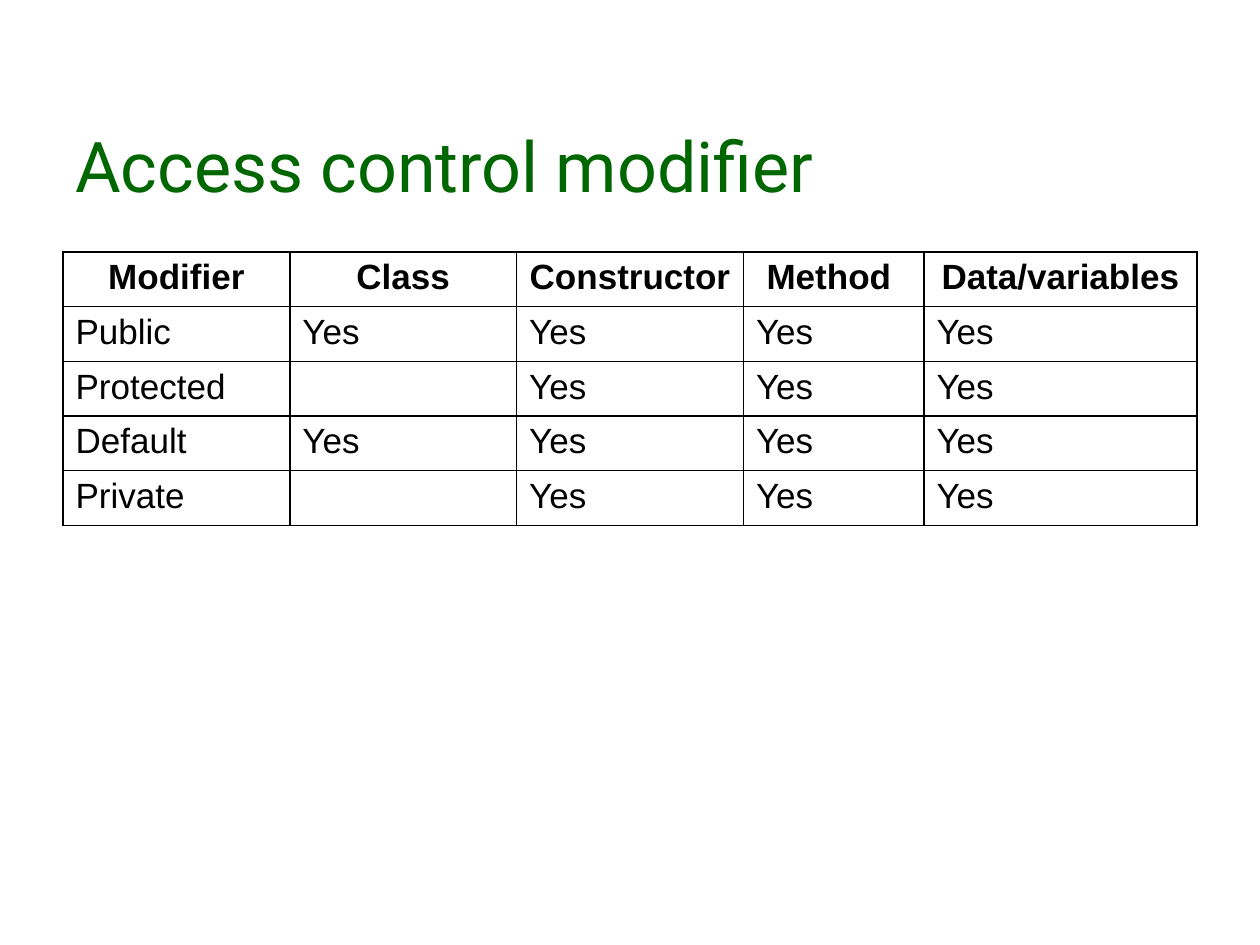
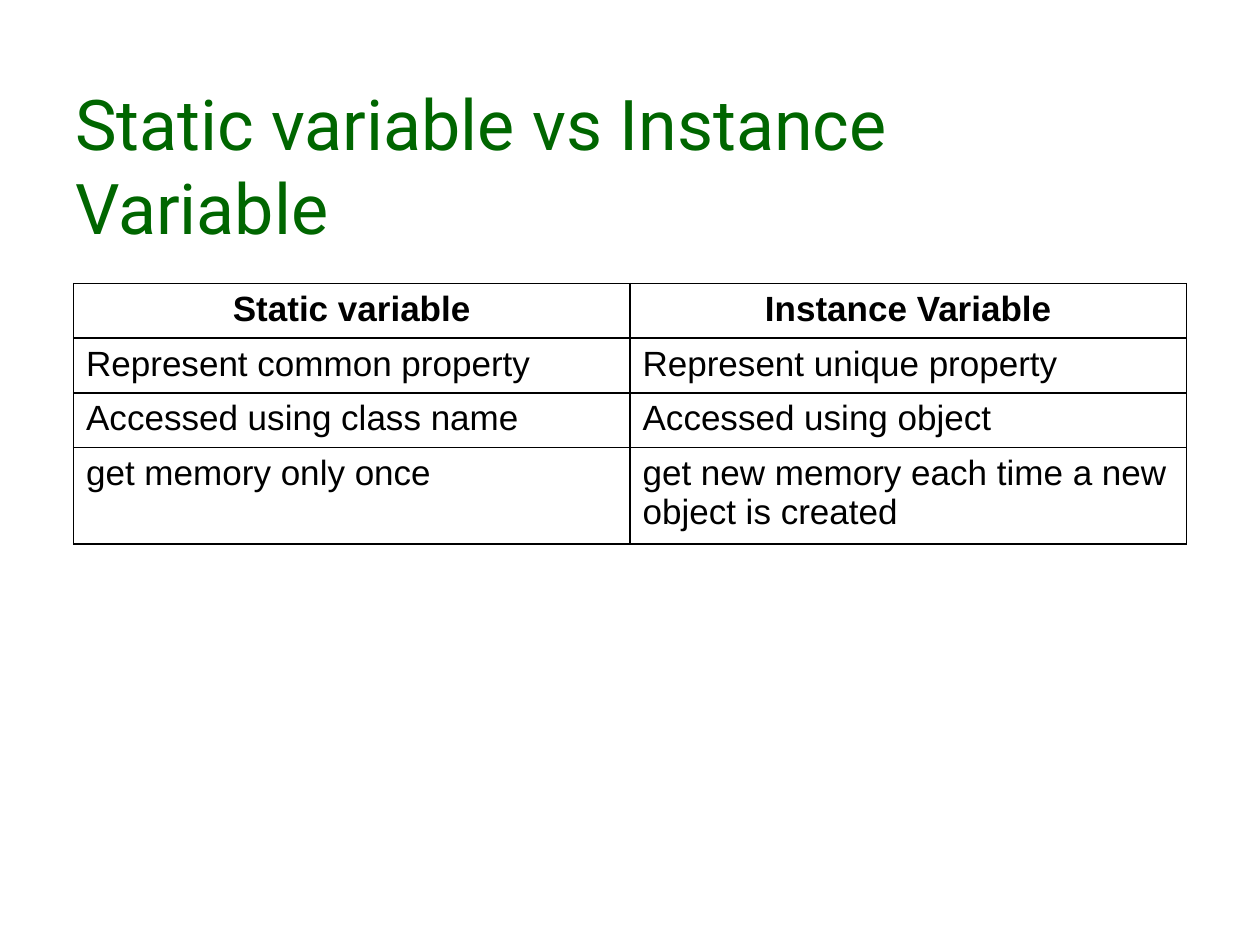
from dataclasses import dataclass

from lxml import etree
from pptx import Presentation, util as u
from pptx.dml.color import RGBColor
from pptx.enum import text
from pptx.oxml.ns import qn


@dataclass(frozen=True)
class Theme:
    """Colours, fonts, sizes and the 120 by 90 grid shared by the slides."""
    title_color: str = "006600"
    ink: str = "000000"
    title_font: str = "Roboto"
    body_font: str = "Arial"
    title_size: int = 40
    body_size: int = 20
    border: int = 1
    unit: int = u.Inches(10) // 120
    title_box: tuple = (6, 11, 105, 9.33)
    row: float = 4.92


THEME = Theme()


def grid(n):
    """Turn a count of grid units into a length."""
    return u.Emu(round(n * THEME.unit))


def style(p, name, size, color, bold=False):
    """Set the font of a whole paragraph."""
    p.font.name = name
    p.font.size = u.Pt(size)
    p.font.bold = bold
    p.font.color.rgb = RGBColor.from_string(color)


def add_title(s, title, box):
    """Place the slide title, centred vertically in its box."""
    tf = s.shapes.add_textbox(*map(grid, box)).text_frame
    tf.word_wrap = True
    tf.vertical_anchor = text.MSO_ANCHOR.MIDDLE
    p = tf.paragraphs[0]
    p.text = title
    style(p, THEME.title_font, THEME.title_size, THEME.title_color)


def add_borders(cell):
    """Rule all four sides of a cell."""
    tc_pr = cell._tc.get_or_add_tcPr()
    for side in ("lnL", "lnR", "lnT", "lnB"):
        ln = etree.SubElement(tc_pr, qn(f"a:{side}"), w=str(u.Pt(THEME.border)))
        fill = etree.SubElement(ln, qn("a:solidFill"))
        etree.SubElement(fill, qn("a:srgbClr"), val=THEME.ink)


def add_ruled_table(s, rows, left, top, widths):
    """Place a ruled table whose first row is a bold, centred header."""
    box = (left, top, sum(widths), THEME.row * len(rows))
    table = s.shapes.add_table(len(rows), len(widths), *map(grid, box)).table
    table.horz_banding = table.first_row = False
    for column, width in zip(table.columns, widths):
        column.width = grid(width)
    for i, row in enumerate(rows):
        table.rows[i].height = grid(THEME.row)
        for j, value in enumerate(row):
            cell = table.cell(i, j)
            add_borders(cell)
            cell.fill.background()
            p = cell.text_frame.paragraphs[0]
            if value:
                p.text = value
            style(p, THEME.body_font, THEME.body_size, THEME.ink, bold=i == 0)
            if i == 0:
                p.alignment = text.PP_ALIGN.CENTER


def add_table_slide(prs, title, rows, left, top, widths):
    """Add a slide made of a title and a table."""
    s = prs.slides.add_slide(prs.slide_layouts[6])
    add_title(s, title, THEME.title_box)
    add_ruled_table(s, rows, left, top, widths)


def main():
    """Build and save the presentation."""
    prs = Presentation()
    prs.slide_width, prs.slide_height = grid(120), grid(90)

    header = ["Modifier", "Class", "Constructor", "Method ", "Data/variables"]
    class_use = {"Public": "Yes", "Protected": "", "Default": "Yes", "Private": ""}
    modifiers = [[name, use] + ["Yes"] * 3 for name, use in class_use.items()]
    add_table_slide(prs, "Access control modifier", [header] + modifiers,
                    6, 24, [21.6] * 3 + [17.2, 26])

    variables = [
        ("Static variable", "Instance Variable"),
        ("Represent common property", "Represent unique property"),
        ("Accessed using class name", "Accessed using object"),
        ("get memory only once", "get new memory each time a new object is created"),
    ]
    add_table_slide(prs, "Static variable vs Instance Variable", variables,
                    7, 27, [53] * 2)

    prs.save("out.pptx")


if __name__ == "__main__":
    main()
